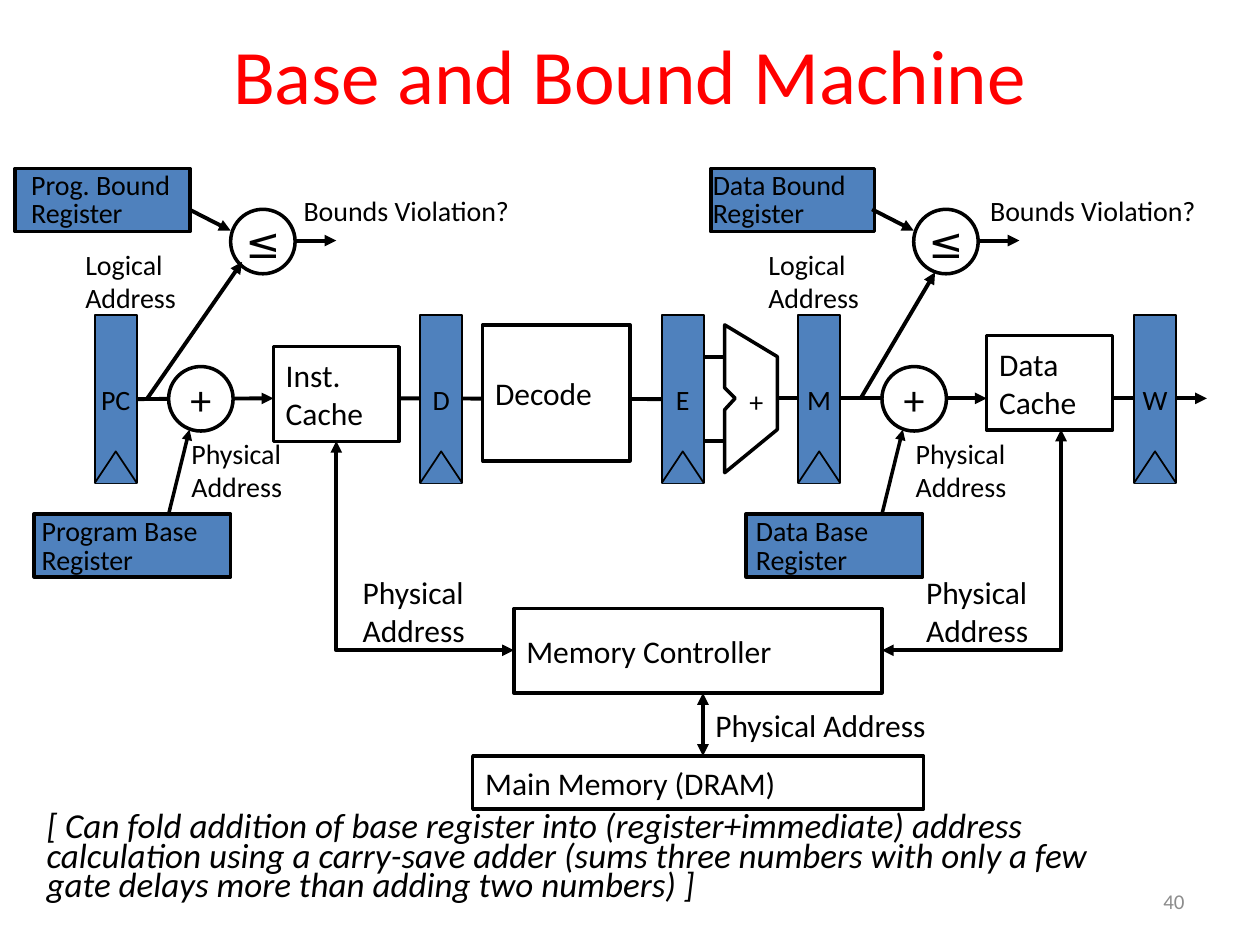
from dataclasses import dataclass
from typing import NamedTuple

import lxml.etree
import pptx
import pptx.dml.color
import pptx.enum.shapes
import pptx.enum.text
import pptx.oxml.ns
import pptx.util

Align = pptx.enum.text.PP_ALIGN
Anchor = pptx.enum.text.MSO_ANCHOR
Preset = pptx.enum.shapes.MSO_SHAPE
Cm = pptx.util.Cm


@dataclass(frozen=True)
class Theme:
    font: str = "Calibri"
    symbol_font: str = "DejaVu Sans"
    ink: str = "000000"
    paper: str = "FFFFFF"
    register: str = "4F81BD"
    heading: str = "FF0000"
    muted: str = "8C8C8C"
    title: int = 44
    symbol: int = 24
    note: int = 20
    block: int = 18
    label: int = 16
    number: int = 12
    thin: float = 1
    outline: float = 2
    wire: float = 2.25


THEME = Theme()


class Area(NamedTuple):
    left: float
    top: float
    width: float
    height: float


class Point(NamedTuple):
    x: float
    y: float


@dataclass(frozen=True)
class Style:
    size: int = THEME.label
    color: str = THEME.ink
    font: str = THEME.font
    align: Align = Align.LEFT
    anchor: Anchor = Anchor.MIDDLE
    wrap: bool = True
    italic: bool = False
    spacing: float = 1.0
    tight: bool = False


LABEL = Style()
BLOCK = Style(size=THEME.block)
STAGE = Style(align=Align.CENTER, wrap=False)
SYMBOL = Style(size=THEME.symbol, align=Align.CENTER, wrap=False)
COMPARE = Style(size=THEME.symbol, font=THEME.symbol_font, align=Align.CENTER, wrap=False)
VIOLATION = Style(anchor=Anchor.TOP, wrap=False, tight=True)
REGISTER = Style(anchor=Anchor.TOP, spacing=0.85, tight=True)


@dataclass(frozen=True)
class Translation:
    check_x: float
    adder_x: float
    tap: tuple[Point, Point]
    bound: Area
    bound_label: Area
    bound_name: str
    base: Area
    base_label: Area
    base_name: str
    physical_x: float
    violation_x: float


AXIS = 8.03
CIRCLE = 1.3
STAGE_TOP, STAGE_WIDTH, STAGE_HEIGHT, CLOCK = 6.35, 0.85, 3.39, 0.64

TRANSLATIONS = [
    Translation(18.42, 17.78, (Point(17.35, AXIS), Point(18.85, 5.49)),
                Area(14.33, 3.4, 3.3, 1.27), Area(14.17, 3.38, 3.38, 1.4), "Data Bound Register",
                Area(15.04, 10.36, 3.56, 1.27), Area(15.04, 10.36, 3.61, 1.4), "Data Base Register",
                18.21, 19.76),
    Translation(4.65, 3.4, (Point(2.97, AXIS), Point(4.88, 5.28)),
                Area(0.3, 3.4, 3.53, 1.27), Area(0.43, 3.38, 3.66, 1.4), "Prog. Bound Register",
                Area(0.69, 10.36, 3.96, 1.27), Area(0.64, 10.36, 4.01, 1.4), "Program Base Register",
                3.61, 5.92),
]


def rgb(color: str):
    return pptx.dml.color.RGBColor.from_string(color)


def write(shape, text: str, style: Style) -> None:
    frame = shape.text_frame
    frame.word_wrap = style.wrap
    frame.vertical_anchor = style.anchor
    frame.margin_left = frame.margin_right = Cm(0.2 if style.tight else 0.25)
    frame.margin_top = frame.margin_bottom = Cm(0.1 if style.tight else 0.13)
    para = frame.paragraphs[0]
    para.text = text
    para.alignment = style.align
    para.line_spacing = style.spacing
    para.font.name = style.font
    para.font.size = pptx.util.Pt(style.size)
    para.font.italic = style.italic
    para.font.color.rgb = rgb(style.color)


def add_text(page, area: Area, text: str, style: Style = LABEL) -> None:
    write(page.shapes.add_textbox(*map(Cm, area)), text, style)


def paint(shape, fill: str | None, width: float) -> None:
    shape.shadow.inherit = False
    if fill:
        shape.fill.solid()
        shape.fill.fore_color.rgb = rgb(fill)
    else:
        shape.fill.background()
    shape.line.color.rgb = rgb(THEME.ink)
    shape.line.width = pptx.util.Pt(width)


def add_box(page, area: Area, text: str = "", style: Style = BLOCK, fill: str = THEME.paper,
            width: float = THEME.outline, preset: Preset = Preset.RECTANGLE):
    box = page.shapes.add_shape(preset, *map(Cm, area))
    paint(box, fill, width)
    if text:
        write(box, text, style)
    return box


def add_outline(page, points: list[Point], fill: str | None, width: float, close: bool = False):
    corners = [(Cm(x), Cm(y)) for x, y in points]
    builder = page.shapes.build_freeform(*corners[0])
    builder.add_line_segments(corners[1:], close=close)
    shape = builder.convert_to_shape()
    paint(shape, fill, width)
    return shape


def add_arrowheads(shape, *ends: str) -> None:
    line = shape.element.xpath(".//a:ln")[0]
    for end in ends:
        lxml.etree.SubElement(line, pptx.oxml.ns.qn(f"a:{end}"), type="triangle")


def add_wire(page, start: Point, finish: Point, *ends: str, width: float = THEME.wire):
    wire = page.shapes.add_connector(pptx.enum.shapes.MSO_CONNECTOR.STRAIGHT,
                                     *map(Cm, (*start, *finish)))
    wire.line.color.rgb = rgb(THEME.ink)
    wire.line.width = pptx.util.Pt(width)
    add_arrowheads(wire, *ends)
    lxml.etree.SubElement(wire.element.spPr, pptx.oxml.ns.qn("a:effectLst"))
    return wire


def add_stage(page, name: str, left: float):
    stage = add_box(page, Area(left, STAGE_TOP, STAGE_WIDTH, STAGE_HEIGHT), name, STAGE,
                    THEME.register, THEME.thin)
    bottom = STAGE_TOP + STAGE_HEIGHT
    add_outline(page, [Point(left, bottom), Point(left + STAGE_WIDTH / 2, bottom - CLOCK),
                       Point(left + STAGE_WIDTH, bottom)], THEME.register, THEME.thin)
    return stage


def add_translation(page, unit: Translation) -> None:
    check, adder = unit.check_x, unit.adder_x
    for area, label, name in ((unit.bound, unit.bound_label, unit.bound_name),
                              (unit.base, unit.base_label, unit.base_name)):
        add_box(page, area, fill=THEME.register)
        add_text(page, label, name, REGISTER)
    add_box(page, Area(check, 4.22, CIRCLE, CIRCLE), "≤", COMPARE, preset=Preset.OVAL)
    add_box(page, Area(adder, 7.39, CIRCLE, CIRCLE), "+", SYMBOL, preset=Preset.OVAL)
    add_wire(page, Point(adder, 10.36), Point(adder + 0.42, 8.66), "tailEnd", width=THEME.outline)
    add_wire(page, *unit.tap, "tailEnd")
    add_wire(page, Point(check - 0.84, 4.22), Point(check, 4.65), "tailEnd")
    add_wire(page, Point(check + 1.27, 4.85), Point(check + 2.13, 4.85), "tailEnd")
    add_text(page, Area(check - 3.18, 4.85, 3.1, 1.63), "Logical Address")
    add_text(page, Area(unit.physical_x, 8.66, 3.1, 1.63), "Physical Address")
    add_text(page, Area(unit.violation_x, 3.81, 5, 0.89), "Bounds Violation?", VIOLATION)


def add_pipeline(page) -> None:
    counter = add_stage(page, "PC", 1.91)
    execute = add_stage(page, "E", 13.34)
    add_wire(page, Point(2.76, AXIS), Point(5.51, AXIS), "tailEnd").begin_connect(counter, 3)
    add_wire(page, Point(8.05, AXIS), Point(13.34, AXIS)).end_connect(execute, 1)
    add_wire(page, Point(15.67, AXIS), Point(19.89, AXIS), "tailEnd")
    add_wire(page, Point(22.43, AXIS), Point(24.33, AXIS), "tailEnd")
    for y in (7.19, 8.89):
        add_wire(page, Point(14.19, y), Point(14.61, y))
    for name, left in (("D", 8.47), ("M", 16.09), ("W", 22.86)):
        add_stage(page, name, left)
    add_box(page, Area(5.51, 6.99, 2.54, 1.91), "Inst. Cache")
    add_box(page, Area(9.73, 6.55, 2.97, 2.74), "Decode")
    add_box(page, Area(19.89, 6.76, 2.54, 1.91), "Data Cache")
    add_outline(page, [Point(14.61, 6.55), Point(14.61, 7.82), Point(14.82, AXIS),
                       Point(14.61, 8.26), Point(14.61, 9.53), Point(15.67, 8.66),
                       Point(15.67, 7.19)], THEME.paper, THEME.outline, close=True)
    add_text(page, Area(14.76, 7.62, 0.97, 0.94), "+", STAGE)


def add_memory(page) -> None:
    add_box(page, Area(9.53, 15.24, 9.09, 1.07), "Main Memory (DRAM)")
    add_box(page, Area(10.36, 12.27, 7.42, 1.7), "Memory Controller")
    for cache, controller_x in ((Point(21.39, 8.66), 17.78), (Point(6.78, 8.89), 10.36)):
        route = [cache, Point(cache.x, 13.11), Point(controller_x, 13.11)]
        add_arrowheads(add_outline(page, route, None, THEME.wire), "headEnd", "tailEnd")
    add_wire(page, Point(14.17, 13.97), Point(14.17, 15.24), "headEnd", "tailEnd")
    for area in (Area(18.42, 11.43, 3.1, 1.78), Area(7.06, 11.43, 3.1, 1.78),
                 Area(14.17, 14.1, 6.78, 1.02)):
        add_text(page, area, "Physical Address", BLOCK)


def main() -> None:
    deck = pptx.Presentation()
    deck.slide_width, deck.slide_height = Cm(25.4), Cm(19.05)
    page = deck.slides.add_slide(deck.slide_layouts[6])
    add_text(page, Area(1.27, 0.28, 22.86, 2.41), "Base and Bound Machine",
             Style(size=THEME.title, color=THEME.heading, align=Align.CENTER))
    add_text(page, Area(0.69, 16.31, 22.1, 2.21),
             "[ Can fold addition of base register into (register+immediate) address calculation "
             "using a carry-save adder (sums three numbers with only a few gate delays more than "
             "adding two numbers) ]",
             Style(size=THEME.note, anchor=Anchor.TOP, italic=True, spacing=0.7))
    add_text(page, Area(18.21, 17.65, 5.92, 1.02), "40",
             Style(size=THEME.number, color=THEME.muted, align=Align.RIGHT))
    add_pipeline(page)
    add_memory(page)
    for unit in TRANSLATIONS:
        add_translation(page, unit)
    deck.save("out.pptx")


if __name__ == "__main__":
    main()
